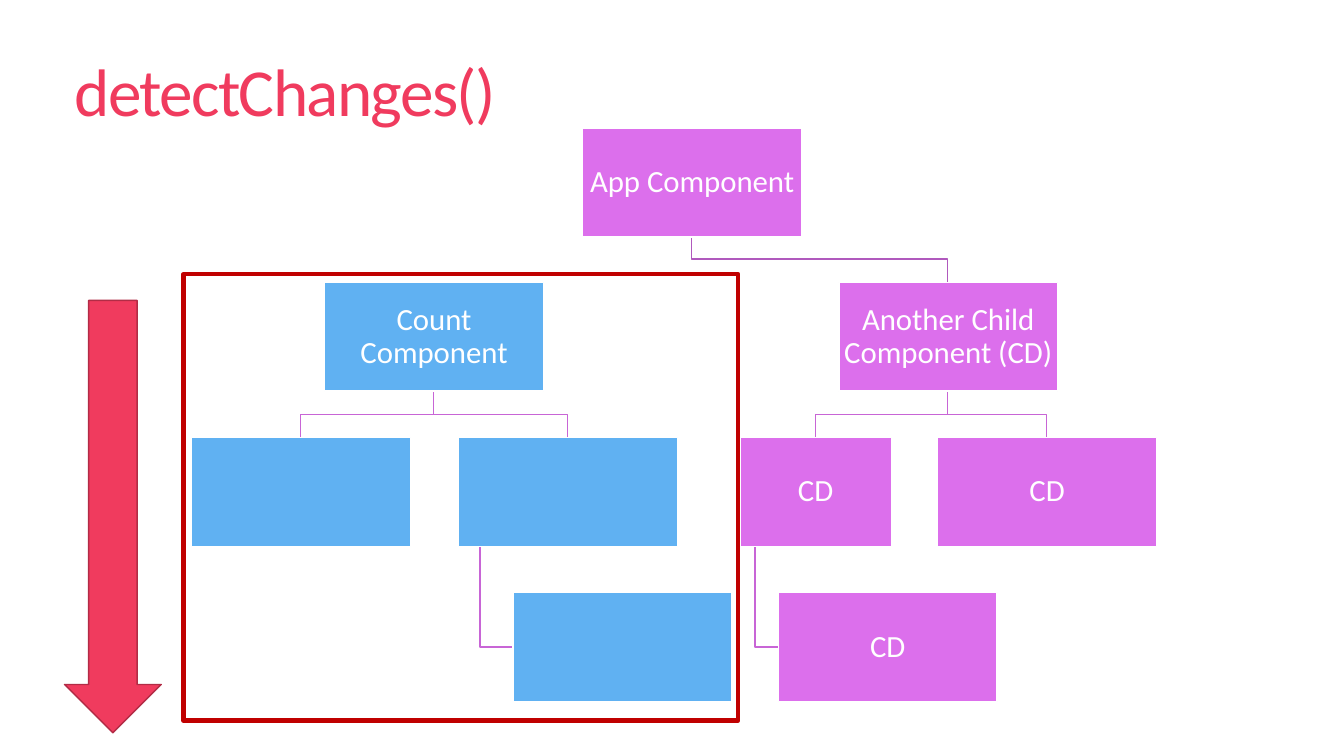
from dataclasses import dataclass

from pptx import Presentation
from pptx.dml.color import RGBColor as Color
from pptx.enum.shapes import MSO_SHAPE as Preset
from pptx.enum.text import MSO_ANCHOR as Anchor, PP_ALIGN as Align
from pptx.util import Pt

PX = 9144


@dataclass(frozen=True)
class Theme:
    """Colours and type sizes of the slide."""
    font: str = "Calibri"
    title_size: int = 48
    node_size: int = 22
    accent: str = "F03B5E"
    arrow_edge: str = "B22C46"
    checked: str = "DC6FEC"
    skipped: str = "60B1F2"
    root_link: str = "B059BD"
    link: str = "C865D6"
    frame: str = "C00000"
    white: str = "FFFFFF"


@dataclass(frozen=True)
class Box:
    """A rectangle in px."""
    left: int
    top: int
    width: int
    height: int

    @property
    def emu(self):
        """Return the four lengths in EMU."""
        return [length * PX for length in (self.left, self.top, self.width, self.height)]

    @property
    def center(self):
        """Return the horizontal centre."""
        return self.left + self.width // 2

    @property
    def bottom(self):
        """Return the lower edge."""
        return self.top + self.height


@dataclass(frozen=True)
class Node:
    """A component in the tree, with its parent and the way it is linked."""
    name: str
    text: str
    left: int
    level: int
    fill: str
    parent: str = ""
    hanging: bool = False
    width: int = 217


THEME = Theme()
NODES = [
    Node("app", "App Component", 448, 0, THEME.checked),
    Node("count", "Count Component", 192, 1, THEME.skipped),
    Node("count left", "", 60, 2, THEME.skipped, "count"),
    Node("count right", "", 325, 2, THEME.skipped, "count"),
    Node("count leaf", "", 379, 3, THEME.skipped, "count right", True),
    Node("another", "Another Child Component (CD)", 702, 1, THEME.checked, "app"),
    Node("another left", "CD", 604, 2, THEME.checked, "another", width=150),
    Node("another leaf", "CD", 642, 3, THEME.checked, "another left", True),
    Node("another right", "CD", 800, 2, THEME.checked, "another"),
]


def style_shape(shape, fill, line, weight):
    """Set fill and outline and drop the shadow."""
    shape.shadow.inherit = False
    if fill:
        shape.fill.solid()
        shape.fill.fore_color.rgb = Color.from_string(fill)
    else:
        shape.fill.background()
    shape.line.color.rgb = Color.from_string(line)
    shape.line.width = Pt(weight)


def write_text(frame, text, size, color, spacing, align):
    """Write one paragraph in the middle of a text frame."""
    frame.word_wrap = True
    frame.vertical_anchor = Anchor.MIDDLE
    paragraph = frame.paragraphs[0]
    paragraph.text = text
    paragraph.alignment = align
    paragraph.line_spacing = spacing
    paragraph.font.name = THEME.font
    paragraph.font.size = Pt(size)
    paragraph.font.color.rgb = Color.from_string(color)
    return paragraph


def add_preset(slide, preset, box, fill, line, weight):
    """Add a styled preset shape."""
    shape = slide.shapes.add_shape(preset, *box.emu)
    style_shape(shape, fill, line, weight)
    return shape


def add_title(slide, box, text):
    """Add the slightly condensed title."""
    frame = slide.shapes.add_textbox(*box.emu).text_frame
    paragraph = write_text(frame, text, THEME.title_size, THEME.accent, 0.85, Align.LEFT)
    paragraph._p.get_or_add_pPr().get_or_add_defRPr().set("spc", "-120")


def add_link(slide, parent, child, hanging, color):
    """Draw the bent line from a parent box to a child box."""
    if hanging:
        stem = parent.left + parent.width // 10
        middle = child.top + child.height // 2
        points = [(stem, parent.bottom), (stem, middle), (child.left, middle)]
    else:
        middle = (parent.bottom + child.top) // 2
        points = [(parent.center, parent.bottom), (parent.center, middle),
                  (child.center, middle), (child.center, child.top)]
    builder = slide.shapes.build_freeform(*points[0], scale=PX)
    builder.add_line_segments(points[1:], close=False)
    style_shape(builder.convert_to_shape(), None, color, 1)


def add_node(slide, box, node):
    """Add one component box with its label."""
    shape = add_preset(slide, Preset.RECTANGLE, box, node.fill, THEME.white, 1)
    if node.text:
        frame = shape.text_frame
        frame.margin_left = frame.margin_right = 2 * PX
        frame.margin_top = frame.margin_bottom = 2 * PX
        write_text(frame, node.text, THEME.node_size, THEME.white, 0.9, Align.CENTER)


def add_tree(slide, box):
    """Add the component tree: four levels spread over the box."""
    height = 108
    boxes = {
        node.name: Box(box.left + node.left,
                       box.top + node.level * (box.height - height) // 3,
                       node.width, height)
        for node in NODES
    }
    for node in NODES:
        if node.parent:
            color = THEME.root_link if node.parent == "app" else THEME.link
            add_link(slide, boxes[node.parent], boxes[node.name], node.hanging, color)
    for node in NODES:
        add_node(slide, boxes[node.name], node)


def add_marks(slide, box):
    """Add the downward arrow and the frame beside it."""
    arrow = Box(box.left, box.top + 26, 96, 429)
    frame = Box(box.left + 118, box.top, box.width - 118, 443)
    add_preset(slide, Preset.DOWN_ARROW, arrow, THEME.accent, THEME.arrow_edge, 1)
    add_preset(slide, Preset.RECTANGLE, frame, None, THEME.frame, 3.25)


def main():
    """Build and save the slide."""
    presentation = Presentation()
    presentation.slide_width = 1333 * PX
    presentation.slide_height = 750 * PX
    slide = presentation.slides.add_slide(presentation.slide_layouts[6])
    add_title(slide, Box(64, 22, 1142, 147), "detectChanges()")
    add_tree(slide, Box(130, 127, 1017, 569))
    add_marks(slide, Box(64, 272, 668, 455))
    presentation.save("out.pptx")


if __name__ == "__main__":
    main()
